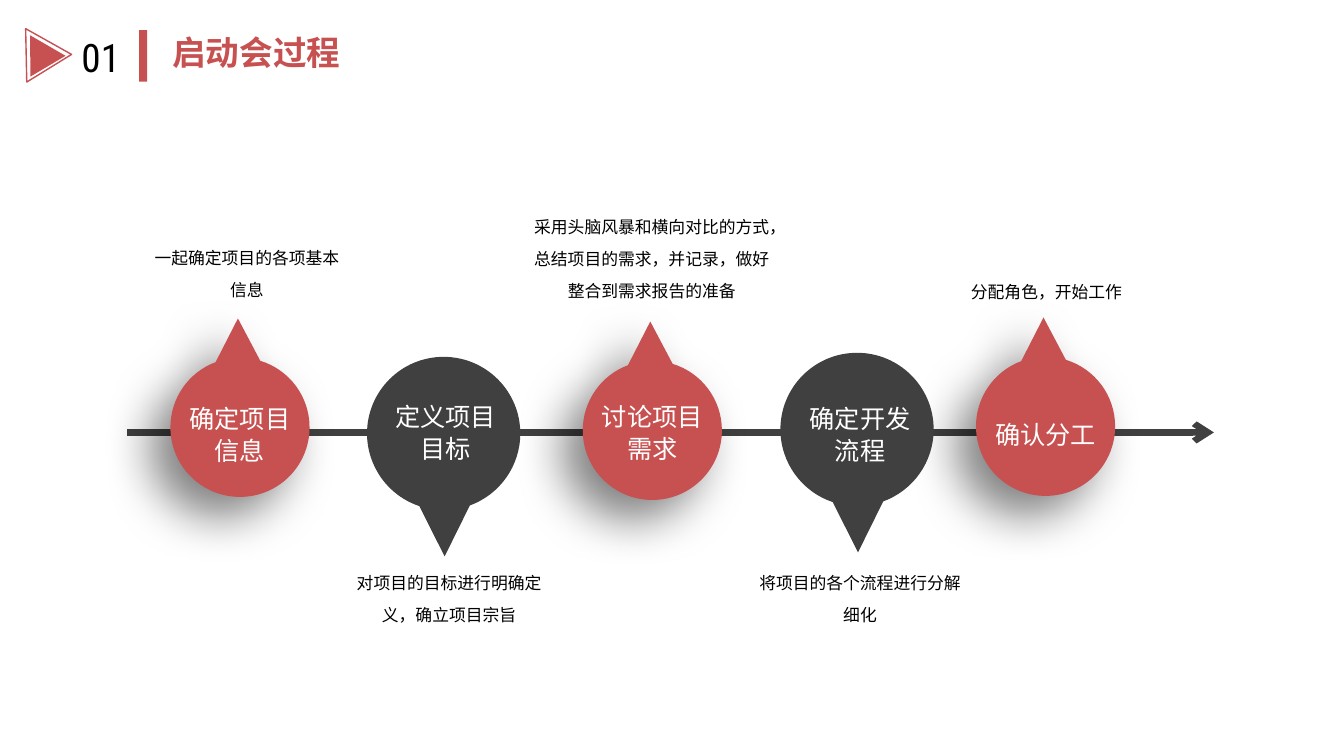
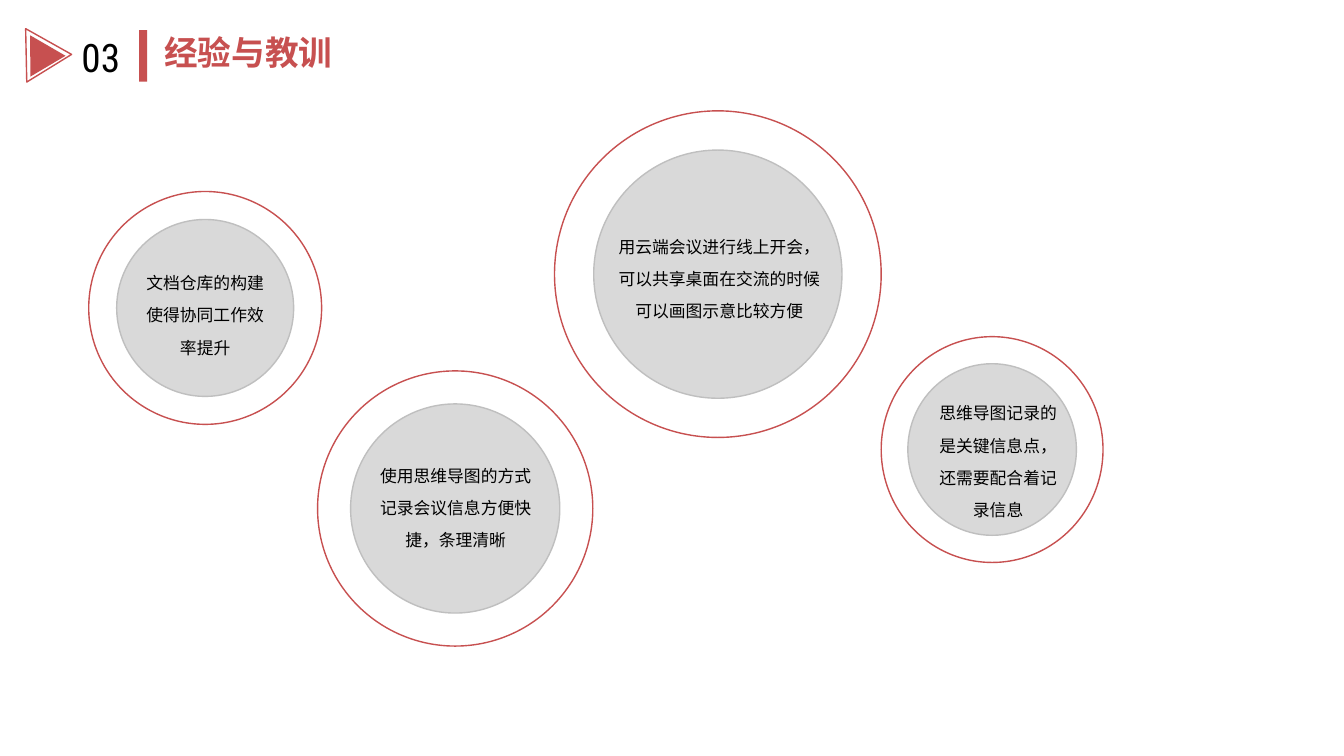
"""Builds two slides: a kickoff timeline and a set of lessons in circles."""
from dataclasses import dataclass
from itertools import pairwise
from math import cos, radians, sin, tan

from lxml.etree import SubElement
from pptx import Presentation
from pptx.dml.color import RGBColor
from pptx.enum.shapes import MSO_CONNECTOR, MSO_SHAPE
from pptx.enum.text import MSO_AUTO_SIZE, PP_ALIGN
from pptx.oxml.ns import qn
from pptx.shapes.autoshape import Shape
from pptx.slide import Slide
from pptx.util import Inches, Pt

RED = RGBColor(0xC7, 0x50, 0x50)
DARK = RGBColor(0x40, 0x40, 0x40)
DISC_GREY = RGBColor(0xD9, 0xD9, 0xD9)
EDGE_GREY = RGBColor(0xBF, 0xBF, 0xBF)
BLACK = RGBColor(0, 0, 0)
WHITE = RGBColor(0xFF, 0xFF, 0xFF)

NUMBER = {"name": "Roboto Condensed", "size": Pt(28)}
TITLE = {"name": "Arial", "size": Pt(24), "bold": True}
LABEL = {"name": "Arial", "size": Pt(18)}
NOTE = {"name": "Arial", "size": Pt(12)}
LINE_SPACING = Pt(23)
DISC_RATIO = 0.76

Box = tuple[float, float, float, float]
Point = tuple[float, float]


@dataclass(frozen=True)
class PinStyle:
    color: RGBColor
    radius: float
    tip: Point
    right_angle: float
    left_angle: float
    direction: int
    has_shadow: bool


@dataclass(frozen=True)
class Step:
    center: Point
    style: PinStyle
    label: str
    label_box: Box
    note: str
    note_box: Box


@dataclass(frozen=True)
class Lesson:
    ring: Box
    text: str
    text_box: Box


UP = PinStyle(RED, 0.69, (-0.02, 1.08), 17, 20.5, -1, True)
DOWN = PinStyle(DARK, 0.76, (0.01, 1.22), 20, 18.5, 1, False)

STEPS = (
    Step((2.38, 4.24), UP, "确定项目信息", (1.69, 3.93, 1.38, 0.73),
         "一起确定项目的各项基本信息", (1.38, 2.29, 2.14, 0.71)),
    Step((4.4, 4.3), DOWN, "定义项目目标", (3.73, 3.91, 1.38, 0.73),
         "对项目的目标进行明确定义，确立项目宗旨", (3.37, 5.51, 2.17, 0.71)),
    Step((6.47, 4.27), UP, "讨论项目需求", (5.78, 3.91, 1.38, 0.73),
         "采用头脑风暴和横向对比的方式，总结项目的需求，并记录，做好整合到需求报告的准备",
         (5.2, 1.98, 2.53, 1.03)),
    Step((8.5, 4.26), DOWN, "确定开发流程", (7.84, 3.93, 1.38, 0.73),
         "将项目的各个流程进行分解细化", (7.37, 5.51, 2.32, 0.71)),
    Step((10.37, 4.23), UP, "确认分工", (9.68, 4.09, 1.38, 0.4),
         "分配角色，开始工作", (8.9, 2.63, 2.96, 0.38)),
)

LESSONS = (
    Lesson((0.88, 1.9, 2.31, 2.31), "文档仓库的构建使得协同工作效率提升",
           (1.31, 2.54, 1.45, 1.03)),
    Lesson((3.15, 3.68, 2.73, 2.73), "使用思维导图的方式记录会议信息方便快捷，条理清晰",
           (3.59, 4.45, 1.86, 1.03)),
    Lesson((8.74, 3.34, 2.2, 2.24), "思维导图记录的是关键信息点，还需要配合着记录信息",
           (9.21, 3.83, 1.38, 1.35)),
    Lesson((5.5, 1.1, 3.24, 3.24), "用云端会议进行线上开会，可以共享桌面在交流的时候可以画图示意比较方便",
           (6.03, 2.18, 2.21, 1.03)),
)


def add_text(slide: Slide, box: Box, text: str, style: dict, color: RGBColor,
             centered: bool = True, inset: float = 0.1) -> None:
    frame = slide.shapes.add_textbox(*map(Inches, box)).text_frame
    frame.word_wrap = True
    frame.auto_size = MSO_AUTO_SIZE.SHAPE_TO_FIT_TEXT
    frame.margin_left = Inches(inset)
    paragraph = frame.paragraphs[0]
    if centered:
        paragraph.alignment = PP_ALIGN.CENTER
        paragraph.line_spacing = LINE_SPACING
    run = paragraph.add_run()
    run.text = text
    for attribute, value in style.items():
        setattr(run.font, attribute, value)
    run.font.color.rgb = color


def paint(shape: Shape, fill: RGBColor | None, line: RGBColor | None) -> None:
    shape.shadow.inherit = False
    if fill is None:
        shape.fill.background()
    else:
        shape.fill.solid()
        shape.fill.fore_color.rgb = fill
    if line is None:
        shape.line.fill.background()
    else:
        shape.line.color.rgb = line
        shape.line.width = Pt(1)


def add_figure(slide: Slide, kind: MSO_SHAPE, box: Box, fill: RGBColor | None = None,
               line: RGBColor | None = None, rotation: float = 0) -> None:
    shape = slide.shapes.add_shape(kind, *map(Inches, box))
    shape.rotation = rotation
    paint(shape, fill, line)


def add_header(slide: Slide, number: str, title: str, title_inset: float) -> None:
    add_figure(slide, MSO_SHAPE.RECTANGLE, (1.38, 0.3, 0.08, 0.51), fill=RED)
    add_text(slide, (0.71, 0.28, 0.75, 0.57), number, NUMBER, BLACK, centered=False)
    add_text(slide, (1.53, 0.27, 5.62, 0.5), title, TITLE, RED, centered=False,
             inset=title_inset)
    triangle = MSO_SHAPE.ISOSCELES_TRIANGLE
    add_figure(slide, triangle, (0.22, 0.32, 0.53, 0.45), line=RED, rotation=88.8)
    add_figure(slide, triangle, (0.27, 0.38, 0.41, 0.35), fill=RED, rotation=89.8)


def add_soft_shadow(shape: Shape) -> None:
    effects = shape._element.spPr.find(qn("a:effectLst"))
    shadow = SubElement(effects, qn("a:outerShdw"), blurRad=str(Pt(35)), dist=str(Pt(20)),
                        dir="8100000", algn="tr", rotWithShape="0")
    color = SubElement(shadow, qn("a:srgbClr"), val="000000")
    SubElement(color, qn("a:alpha"), val="50000")


def arc_points(start: float, end: float) -> list[Point]:
    """Returns two control points and the end of an arc on the unit circle."""
    a, b = radians(start), radians(end)
    handle = 4 / 3 * tan((b - a) / 4)
    return [(sin(a) + handle * cos(a), cos(a) - handle * sin(a)),
            (sin(b) - handle * cos(b), cos(b) + handle * sin(b)),
            (sin(b), cos(b))]


def round_off(shape: Shape) -> None:
    """Turns each three line segments after the first into one curve."""
    segments = list(shape._element.iter(qn("a:lnTo")))[1:]
    for first in range(0, len(segments), 3):
        triple = segments[first:first + 3]
        outline = triple[0].getparent()
        curve = outline.makeelement(qn("a:cubicBezTo"))
        outline.replace(triple[0], curve)
        for segment in triple:
            curve.append(segment[0])
        for segment in triple[1:]:
            outline.remove(segment)


def add_pin(slide: Slide, step: Step) -> None:
    style = step.style

    def place(offset: Point, scale: float = 1) -> tuple[int, int]:
        return (Inches(step.center[0] + scale * offset[0]),
                Inches(step.center[1] + style.direction * scale * offset[1]))

    angles = (style.right_angle, 90, 180, 270, 360 - style.left_angle)
    start = radians(style.right_angle)
    points = [(sin(start), cos(start))]
    for begin, end in pairwise(angles):
        points += arc_points(begin, end)
    outline = slide.shapes.build_freeform(*place(style.tip))
    outline.add_line_segments([place(point, style.radius) for point in points], close=True)
    pin = outline.convert_to_shape()
    round_off(pin)
    paint(pin, style.color, None)
    if style.has_shadow:
        add_soft_shadow(pin)


def add_timeline(slide: Slide) -> None:
    height = Inches(4.29)
    axis = slide.shapes.add_connector(MSO_CONNECTOR.STRAIGHT, Inches(1.26), height,
                                      Inches(12.04), height)
    axis.line.color.rgb = DARK
    axis.line.width = Pt(4.5)
    SubElement(axis.line._get_or_add_ln(), qn("a:tailEnd"), type="arrow")
    SubElement(axis._element.spPr, qn("a:effectLst"))


def build_kickoff(slide: Slide) -> None:
    add_timeline(slide)
    for step in sorted(STEPS, key=lambda step: step.style.has_shadow, reverse=True):
        add_pin(slide, step)
    for step in STEPS:
        add_text(slide, step.note_box, step.note, NOTE, BLACK)
        add_text(slide, step.label_box, step.label, LABEL, WHITE)
    add_header(slide, "01", "启动会过程", 0.18)


def build_lessons(slide: Slide) -> None:
    add_header(slide, "03", "经验与教训", 0.1)
    margin = (1 - DISC_RATIO) / 2
    for lesson in LESSONS:
        left, top, width, height = lesson.ring
        disc = (left + margin * width, top + margin * height,
                DISC_RATIO * width, DISC_RATIO * height)
        add_figure(slide, MSO_SHAPE.OVAL, disc, fill=DISC_GREY, line=EDGE_GREY)
        add_figure(slide, MSO_SHAPE.OVAL, lesson.ring, line=RED)
        add_text(slide, lesson.text_box, lesson.text, NOTE, BLACK)


def main() -> None:
    deck = Presentation()
    deck.slide_width, deck.slide_height = Inches(13.33), Inches(7.5)
    blank = deck.slide_layouts[6]
    for build in (build_kickoff, build_lessons):
        build(deck.slides.add_slide(blank))
    deck.save("out.pptx")


if __name__ == "__main__":
    main()
